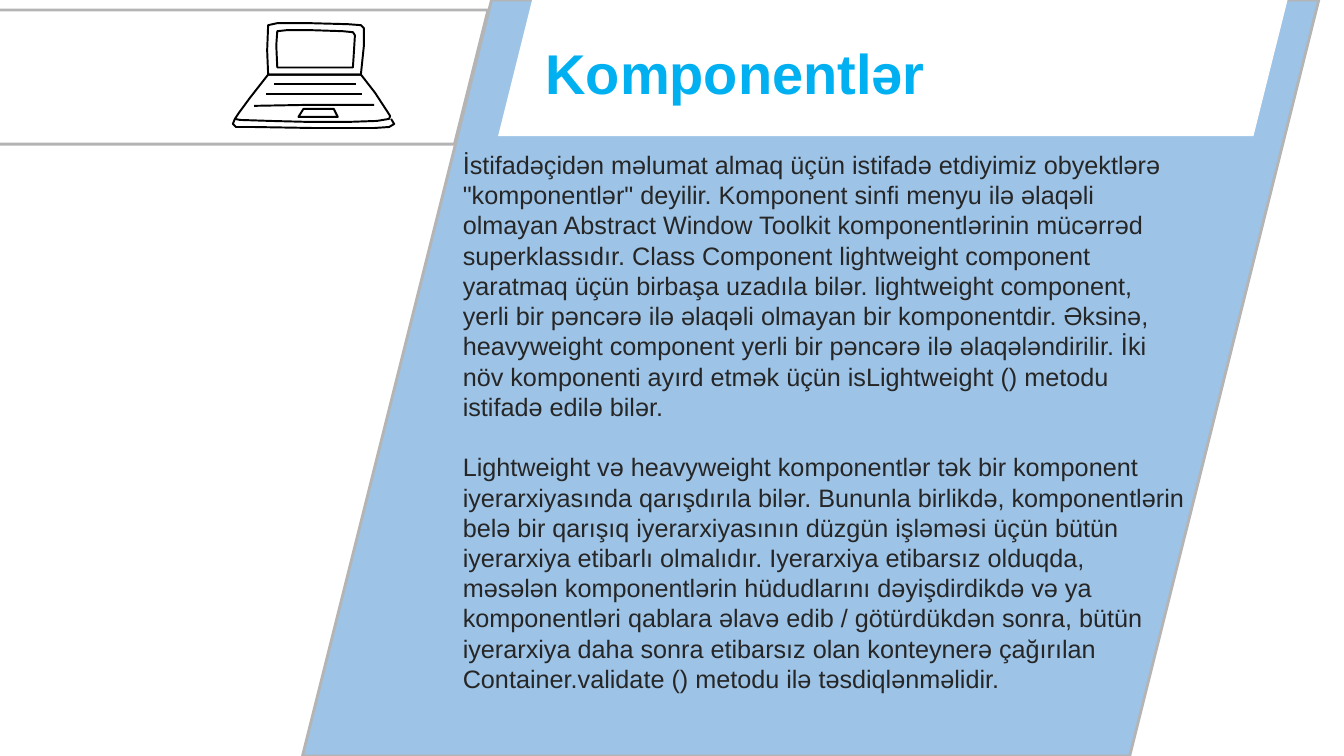
from pptx import Presentation
from pptx.dml.color import RGBColor
from pptx.enum.shapes import MSO_SHAPE
from pptx.enum.text import MSO_ANCHOR, MSO_AUTO_SIZE, PP_ALIGN
from pptx.oxml.ns import qn
from pptx.util import Inches, Pt
from lxml import etree

SLANT = MSO_SHAPE.PARALLELOGRAM
TOP, LEFT, NO_FIT = MSO_ANCHOR.TOP, PP_ALIGN.LEFT, MSO_AUTO_SIZE.NONE
BLUE = RGBColor(0x9D, 0xC3, 0xE6)
CYAN = RGBColor(0x00, 0xB0, 0xF0)
GRAY = RGBColor(0xB4, 0xB4, 0xB4)
DARK = RGBColor(0x26, 0x26, 0x26)
BLACK = RGBColor(0, 0, 0)
WHITE = RGBColor(0xFF, 0xFF, 0xFF)

TITLE = "Komponentlər"
BODY = [
    'İstifadəçidən məlumat almaq üçün istifadə etdiyimiz obyektlərə "komponentlər" deyilir. '
    "Komponent sinfi menyu ilə əlaqəli olmayan Abstract Window Toolkit komponentlərinin mücərrəd "
    "superklassıdır. Class Component lightweight component yaratmaq üçün birbaşa uzadıla bilər. "
    "lightweight component, yerli bir pəncərə ilə əlaqəli olmayan bir komponentdir. Əksinə, "
    "heavyweight component yerli bir pəncərə ilə əlaqələndirilir. İki növ komponenti ayırd etmək "
    "üçün isLightweight () metodu istifadə edilə bilər.",
    "Lightweight və heavyweight komponentlər tək bir komponent iyerarxiyasında qarışdırıla bilər. "
    "Bununla birlikdə, komponentlərin belə bir qarışıq iyerarxiyasının düzgün işləməsi üçün bütün "
    "iyerarxiya etibarlı olmalıdır. Iyerarxiya etibarsız olduqda, məsələn komponentlərin "
    "hüdudlarını dəyişdirdikdə və ya komponentləri qablara əlavə edib / götürdükdən sonra, bütün "
    "iyerarxiya daha sonra etibarsız olan konteynerə çağırılan Container.validate () metodu ilə "
    "təsdiqlənməlidir.",
]

# Slanted panels: left, top, width, height in inches, fill, line
PANELS = [
    ((3, 0, 10.08, 7.5), BLUE, GRAY),
    ((4.94, 0, 7.83, 1.35), WHITE, None),
    ((-0.43, 0.1, 5.27, 1.33), WHITE, GRAY),
]

# Laptop strokes in hundredths of an inch: points, closed or not
LAPTOP = [
    ([(266, 74), (265, 50), (266, 25), (275, 23), (308, 23), (345, 24), (358, 25),
      (361, 28), (361, 45), (358, 74)], True),
    ([(275, 67), (274, 45), (275, 31), (284, 30), (310, 30), (340, 31), (350, 32),
      (352, 35), (351, 52), (350, 67)], True),
    ([(266, 74), (248, 97), (237, 112), (233, 118), (238, 119), (268, 120), (308, 121),
      (344, 121), (374, 120), (386, 118), (387, 115), (372, 92), (358, 74)], True),
    ([(272, 83), (312, 83), (353, 83)], False),
    ([(264, 93), (300, 93), (359, 93)], False),
    ([(252, 105), (306, 104), (371, 104)], False),
    ([(301, 108), (331, 108), (335, 116), (296, 116)], True),
    ([(233, 118), (231, 123), (234, 126), (251, 126), (312, 127), (371, 127), (386, 126),
      (391, 123), (388, 118)], False),
]

deck = Presentation()
deck.slide_width, deck.slide_height = Inches(13.33), Inches(7.5)
slide = deck.slides.add_slide(deck.slide_layouts[1])
shapes = slide.shapes


def place(shape, box):
    shape.left, shape.top, shape.width, shape.height = map(Inches, box)


def write(holder, box, lines, size, color, bold, gap, pitch):
    """Fill a placeholder and bring it to the front."""
    place(holder, box)
    frame = holder.text_frame
    frame.text = "\n".join(lines)
    frame.word_wrap, frame.auto_size, frame.vertical_anchor = True, NO_FIT, TOP
    for i, para in enumerate(frame.paragraphs):
        props = para._p.get_or_add_pPr()
        props.set("marL", "0")
        props.set("indent", "0")
        etree.SubElement(props, qn("a:buNone"))
        para.alignment, para.line_spacing = LEFT, pitch
        para.space_before = Pt(gap if i else 0)
        for run in para.runs:
            font = run.font
            font.name, font.size, font.bold = "Arial", Pt(size), bold
            font.color.rgb = color
    shapes._spTree.append(holder._element)


# Panels
for box, fill, line in PANELS:
    panel = shapes.add_shape(SLANT, *map(Inches, box))
    panel.shadow.inherit = False
    panel.fill.solid()
    panel.fill.fore_color.rgb = fill
    if line is None:
        panel.line.fill.background()
    else:
        panel.line.color.rgb = line
        panel.line.width = Pt(2)

# Laptop
for points, closed in LAPTOP:
    pen = shapes.build_freeform(*points[0], scale=Inches(0.01))
    pen.add_line_segments(points[1:], close=closed)
    stroke = pen.convert_to_shape()
    stroke.shadow.inherit = False
    stroke.fill.background()
    stroke.line.color.rgb = BLACK
    stroke.line.width = Pt(1.4)

# Title and text
write(shapes.title, (5.31, 0.33, 6.73, 0.77), [TITLE], 40, CYAN, True, 0, 1)
write(slide.placeholders[1], (4.49, 1.43, 7.37, 5.55), BODY, 18, DARK, False, 21.6, 1)

deck.save("out.pptx")
